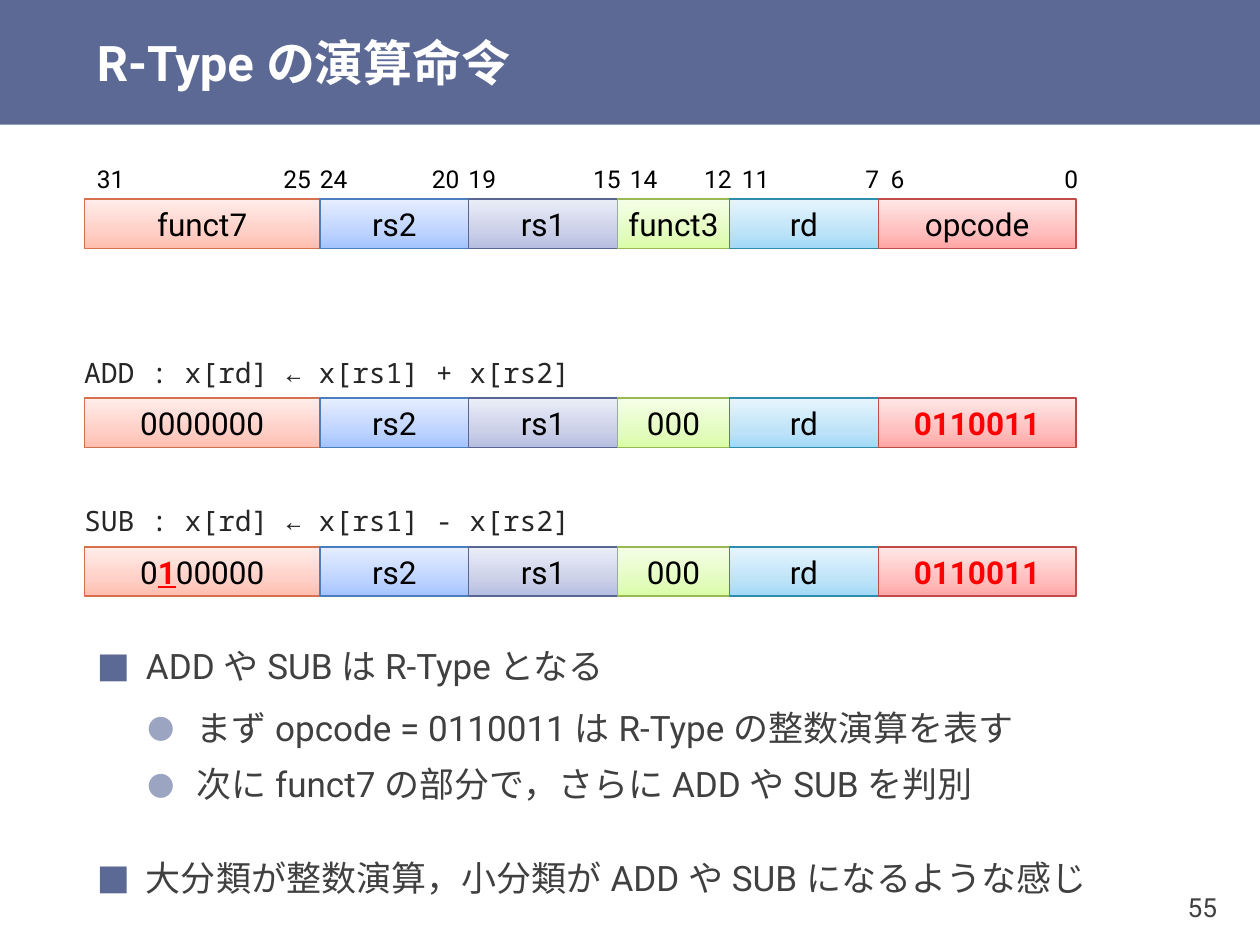
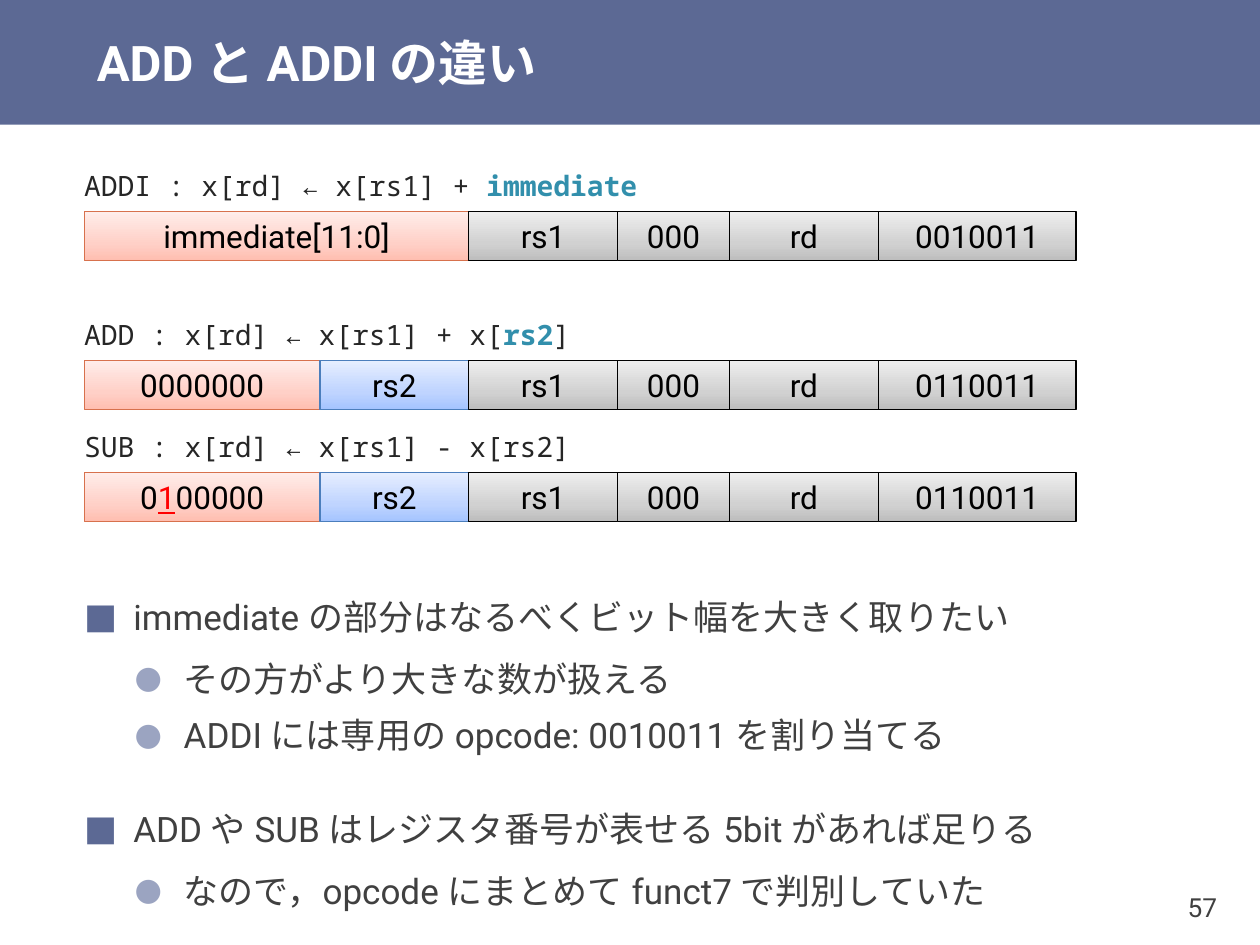
from copy import deepcopy
from dataclasses import dataclass

from lxml import etree
from pptx import Presentation
from pptx.dml.color import RGBColor
from pptx.enum.shapes import MSO_SHAPE
from pptx.enum.text import MSO_ANCHOR, PP_ALIGN
from pptx.oxml.ns import qn
from pptx.util import Inches, Pt

RECTANGLE = MSO_SHAPE.RECTANGLE
TOP, MIDDLE = MSO_ANCHOR.TOP, MSO_ANCHOR.MIDDLE
LEFT, CENTER, RIGHT = PP_ALIGN.LEFT, PP_ALIGN.CENTER, PP_ALIGN.RIGHT


@dataclass(frozen=True)
class Theme:
    sans: str = "Roboto"
    mono: str = "Noto Sans Mono"
    band: str = "5C6994"
    sub_bullet: str = "9BA4C1"
    white: str = "FFFFFF"
    black: str = "000000"
    body: str = "404040"
    code: str = "262626"
    accent: str = "328FAC"
    red: str = "FF0000"
    title_size: int = 28
    body_size: int = 20
    field_size: int = 18
    code_size: int = 16
    page_size: int = 15
    bit_size: int = 14


THEME = Theme()

TINTS = {
    "orange": (("FFBEB0", "FFD0C7", "FFEDEA"), "D7714D"),
    "blue": (("A4C4FF", "BFD4FF", "E6EEFF"), "4B7EBC"),
    "violet": (("B6BEE1", "CCD1E9", "EBEDF7"), "596692"),
    "green": (("DAFDA7", "E4FCC2", "F5FFE7"), "98B955"),
    "cyan": (("A2D9F7", "BFE4F8", "E6F5FD"), "2E8DAB"),
    "red": (("FFA6A5", "FFC0BF", "FFE7E7"), "BF4C48"),
    "gray": (("BDBDBD", "D1D1D1", "EEEEEE"), "000000"),
}
GRADIENT_POSITIONS = (0, 0.35, 1)

FIELD_LEFT, FIELD_HEIGHT = 0.67, 0.39
FIELD_WIDTHS = (1.87, 1.18, 1.18, 0.89, 1.18, 1.57)
IMMEDIATE_WIDTHS = (sum(FIELD_WIDTHS[:2]), *FIELD_WIDTHS[2:])
R_TYPE_TINTS = ("orange", "blue", "violet", "green", "cyan", "red")
COMPARED_TINTS = ("orange", "blue", "gray", "gray", "gray", "gray")
IMMEDIATE_TINTS = ("orange", "gray", "gray", "gray", "gray")

BIT_RANGES = (
    ("31", 0, "25", 0.39),
    ("24", 0.1, "20", 0.39),
    ("19", 0.1, "15", 0.29),
    ("14", 0, "12", 0.3),
    ("11", 0, "7", 0.2),
    ("6", 0, "0", 0.19),
)

STRONG_RED = {"color": THEME.red, "bold": True}
RED_UNDERLINE = {"color": THEME.red, "underline": True}
ACCENT = {"color": THEME.accent, "bold": True}


class Deck:
    def __init__(self, theme):
        self.theme = theme
        self.presentation = Presentation()
        self.presentation.slide_width = Inches(10)
        self.presentation.slide_height = Inches(7.5)
        self.slide = None

    def new_slide(self, title, page):
        theme = self.theme
        self.slide = self.presentation.slides.add_slide(self.presentation.slide_layouts[6])
        band = self.rectangle(0, 0, 10, 0.99)
        band.fill.solid()
        band.fill.fore_color.rgb = RGBColor.from_string(theme.band)
        band.line.fill.background()
        self.text(title, 0.67, 0, 9.33, 0.99, theme.title_size, theme.white,
                  bold=True, anchor=MIDDLE, insets=(0.1, 0), wrap=True)
        self.text(page, 8.94, 6.9, 0.79, 0.6, theme.page_size, theme.body,
                  anchor=MIDDLE, align=RIGHT, insets=(0.07, 0.04))

    def rectangle(self, left, top, width, height):
        shape = self.slide.shapes.add_shape(
            RECTANGLE, Inches(left), Inches(top), Inches(width), Inches(height))
        shape.shadow.inherit = False
        return shape

    def add_runs(self, paragraph, content, size, color, font=None, bold=False):
        pieces = [(content, {})] if isinstance(content, str) else content
        for text, style in pieces:
            run = paragraph.add_run()
            run.text = text
            run.font.name = font or self.theme.sans
            run.font.size = Pt(size)
            run.font.bold = style.get("bold", bold)
            run.font.underline = style.get("underline", False)
            run.font.color.rgb = RGBColor.from_string(style.get("color", color))
            east_asian = etree.Element(qn("a:ea"), typeface=run.font.name)
            run.font._element.find(qn("a:latin")).addnext(east_asian)

    def text_frame(self, left, top, width, height, anchor=TOP, insets=(0.1, 0.05), wrap=False):
        box = self.slide.shapes.add_textbox(
            Inches(left), Inches(top), Inches(width), Inches(height))
        frame = box.text_frame
        frame.word_wrap = wrap
        frame.vertical_anchor = anchor
        frame.margin_left = frame.margin_right = Inches(insets[0])
        frame.margin_top = frame.margin_bottom = Inches(insets[1])
        return frame

    def text(self, content, left, top, width, height, size, color,
             font=None, bold=False, align=LEFT, **frame_options):
        frame = self.text_frame(left, top, width, height, **frame_options)
        paragraph = frame.paragraphs[0]
        paragraph.alignment = align
        self.add_runs(paragraph, content, size, color, font, bold)

    def field(self, content, left, top, width, tint):
        shape = self.rectangle(left, top, width, FIELD_HEIGHT)
        colors, line_color = TINTS[tint]
        shape.fill.gradient()
        shape.fill.gradient_angle = 90
        stop_list = shape._element.spPr.find(qn("a:gradFill")).find(qn("a:gsLst"))
        stop_list.append(deepcopy(stop_list[0]))
        for stop, color, position in zip(shape.fill.gradient_stops, colors, GRADIENT_POSITIONS):
            stop.color.rgb = RGBColor.from_string(color)
            stop.position = position
        shape.line.color.rgb = RGBColor.from_string(line_color)
        shape.line.width = Pt(0.75)
        frame = shape.text_frame
        frame.word_wrap = False
        frame.vertical_anchor = MIDDLE
        frame.paragraphs[0].alignment = CENTER
        self.add_runs(frame.paragraphs[0], content, self.theme.field_size, self.theme.black)

    def instruction(self, top, contents, tints, widths=FIELD_WIDTHS, code=None):
        if code:
            self.text(code, 0.57, top - FIELD_HEIGHT, 5, FIELD_HEIGHT,
                      self.theme.code_size, self.theme.code, self.theme.mono)
        left = FIELD_LEFT
        for content, tint, width in zip(contents, tints, widths):
            self.field(content, left, top, width, tint)
            left += width

    def bit_numbers(self, top):
        left = FIELD_LEFT
        for (high, high_shift, low, low_shift), width in zip(BIT_RANGES, FIELD_WIDTHS):
            right = left + width
            for number, position in ((high, left - high_shift), (low, right - low_shift)):
                self.text(number, position, top, 0.5, 0.26,
                          self.theme.bit_size, self.theme.black, anchor=MIDDLE)
            left = right

    def bullets(self, left, top, items):
        theme = self.theme
        frame = self.text_frame(left, top, 8.27, 1.38, wrap=True)
        for index, (level, content) in enumerate(items):
            paragraph = frame.add_paragraph() if index else frame.paragraphs[0]
            before, after, symbol, color, percent = (
                (3, 3, "●", theme.sub_bullet, 90) if level
                else (24, 6, "■", theme.band, 100))
            paragraph.level = level
            properties = paragraph._p.get_or_add_pPr()
            properties.set("marL", str(Inches(0.39 + 0.4 * level)))
            properties.set("indent", str(Inches(-0.39)))
            bullet_color = etree.SubElement(properties, qn("a:buClr"))
            etree.SubElement(bullet_color, qn("a:srgbClr"), val=color)
            etree.SubElement(properties, qn("a:buSzPct"), val=str(percent * 1000))
            etree.SubElement(properties, qn("a:buFont"), typeface=theme.sans)
            etree.SubElement(properties, qn("a:buChar"), char=symbol)
            paragraph.line_spacing = 1.1
            paragraph.space_before = Pt(before if index else 0)
            paragraph.space_after = Pt(after)
            self.add_runs(paragraph, content, theme.body_size, theme.body)


def build_r_type(deck):
    deck.new_slide("R-Type の演算命令", "55")
    deck.bit_numbers(1.29)
    opcode = [("0110011", STRONG_RED)]
    sub_function = [("0", {}), ("1", {**STRONG_RED, "underline": True}), ("00000", {})]
    deck.instruction(1.58, ("funct7", "rs2", "rs1", "funct3", "rd", "opcode"), R_TYPE_TINTS)
    deck.instruction(3.16, ("0000000", "rs2", "rs1", "000", "rd", opcode), R_TYPE_TINTS,
                     code="ADD : x[rd] ← x[rs1] + x[rs2]")
    deck.instruction(4.34, (sub_function, "rs2", "rs1", "000", "rd", opcode), R_TYPE_TINTS,
                     code="SUB : x[rd] ← x[rs1] - x[rs2]")
    deck.bullets(0.67, 5.03, (
        (0, "ADD や SUB は R-Type となる"),
        (1, "まず opcode = 0110011 は R-Type の整数演算を表す"),
        (1, "次に funct7 の部分で，さらに ADD や SUB を判別"),
        (0, "大分類が整数演算，小分類が ADD や SUB になるような感じ"),
    ))


def build_add_and_addi(deck):
    deck.new_slide("ADD と ADDI の違い", "57")
    sub_function = [("0", {}), ("1", RED_UNDERLINE), ("00000", {})]
    deck.instruction(1.68, ("immediate[11:0]", "rs1", "000", "rd", "0010011"),
                     IMMEDIATE_TINTS, IMMEDIATE_WIDTHS,
                     [("ADDI : x[rd] ← x[rs1] + ", {}), ("immediate", ACCENT)])
    deck.instruction(2.86, ("0000000", "rs2", "rs1", "000", "rd", "0110011"), COMPARED_TINTS,
                     code=[("ADD : x[rd] ← x[rs1] + x[", {}), ("rs2", ACCENT), ("]", {})])
    deck.instruction(3.75, (sub_function, "rs2", "rs1", "000", "rd", "0110011"), COMPARED_TINTS,
                     code="SUB : x[rd] ← x[rs1] - x[rs2]")
    deck.bullets(0.57, 4.64, (
        (0, "immediate の部分はなるべくビット幅を大きく取りたい"),
        (1, "その方がより大きな数が扱える"),
        (1, "ADDI には専用の opcode: 0010011 を割り当てる"),
        (0, "ADD や SUB はレジスタ番号が表せる 5bit があれば足りる"),
        (1, "なので，opcode にまとめて funct7 で判別していた"),
    ))


def main():
    deck = Deck(THEME)
    build_r_type(deck)
    build_add_and_addi(deck)
    deck.presentation.save("out.pptx")


if __name__ == "__main__":
    main()
